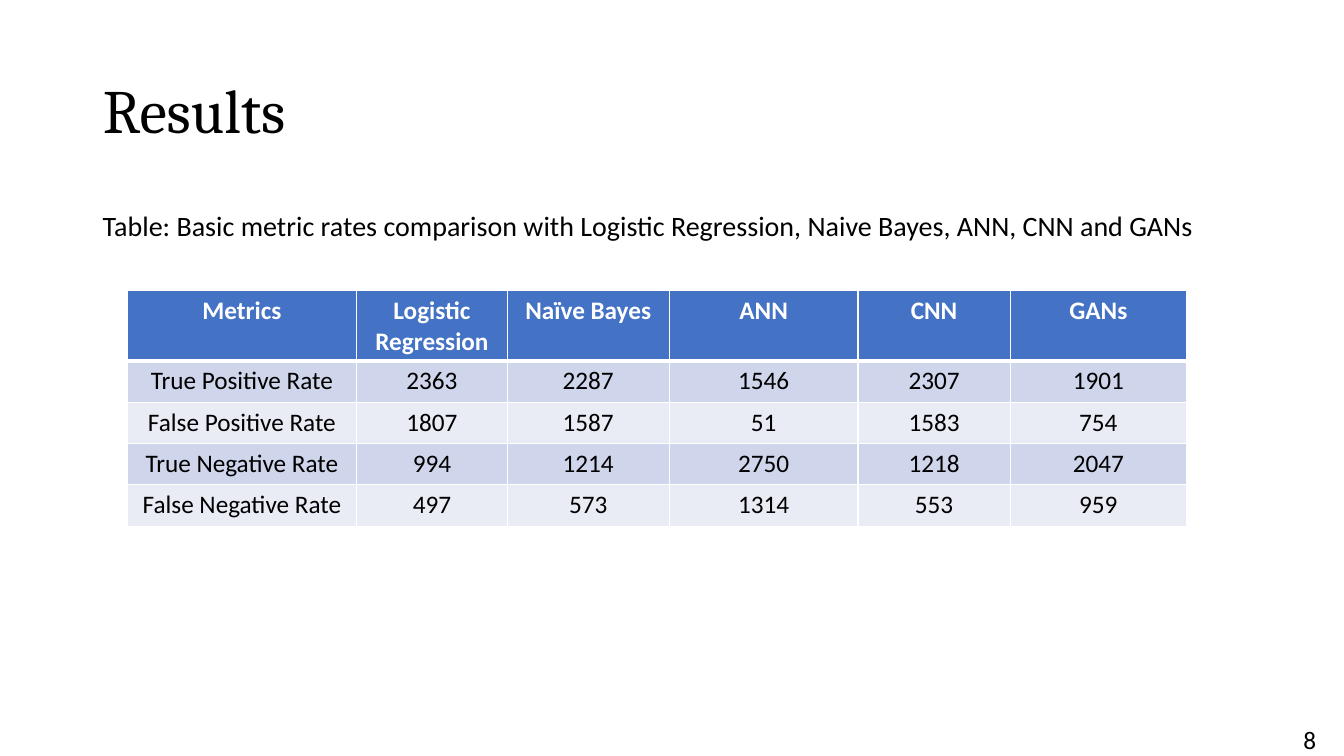
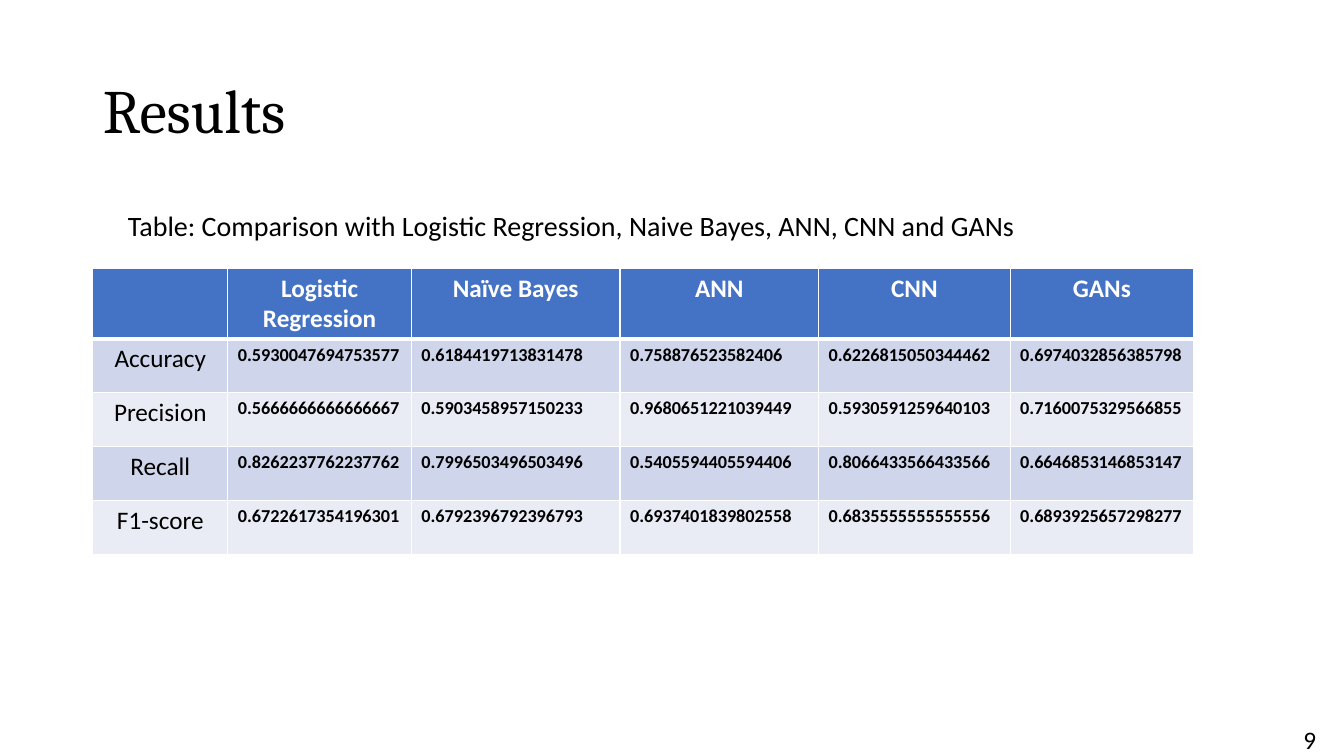
from lxml.etree import SubElement
from pptx import Presentation
from pptx.dml.color import RGBColor
from pptx.enum.text import MSO_ANCHOR, MSO_AUTO_SIZE, PP_ALIGN
from pptx.oxml.ns import qn
from pptx.util import Inches, Pt

COLORS = {
    "text": "000000",
    "header_text": "FFFFFF",
    "header": "4472C4",
    "odd_row": "CFD5EA",
    "even_row": "E9EBF5",
    "border": "FFFFFF",
}
TITLE_FONT, BODY_FONT = "Cambria", "Calibri"
TITLE_BOX = (0.92, 0.4, 11.5, 1.45)
PAGE_NUMBER_BOX = (12.83, 7.14, 0.33, 0.4)
CAPTION_TOP, CAPTION_HEIGHT = 2.02, 0.44
HEADER_HEIGHT = 0.69
MODELS = ["Logistic Regression", "Naïve Bayes", "ANN", "CNN", "GANs"]

HEADER_FORMAT = {"size": Pt(18), "bold": True, "color": "header_text"}
LABEL_FORMAT = {"size": Pt(18), "bold": False, "color": "text"}
SCORE_FORMAT = {"size": Pt(13), "bold": True, "color": "text"}

SLIDES = [
    {
        "page": "8",
        "caption": "Table: Basic metric rates comparison with Logistic Regression, "
                   "Naive Bayes, ANN, CNN and GANs",
        "caption_left": 0.92,
        "caption_width": 11.18,
        "table_origin": (1.26, 2.88),
        "column_widths": [2.28, 1.49, 1.61, 1.87, 1.51, 1.75],
        "row_height": 0.41,
        "corner": "Metrics",
        "value_format": LABEL_FORMAT,
        "value_align": PP_ALIGN.CENTER,
        "rows": [
            ("True Positive Rate", "2363", "2287", "1546", "2307", "1901"),
            ("False Positive Rate", "1807", "1587", "51", "1583", "754"),
            ("True Negative Rate", "994", "1214", "2750", "1218", "2047"),
            ("False Negative Rate", "497", "573", "1314", "553", "959"),
        ],
    },
    {
        "page": "9",
        "caption": "Table: Comparison with Logistic Regression, Naive Bayes, "
                   "ANN, CNN and GANs",
        "caption_left": 1.17,
        "caption_width": 9.14,
        "table_origin": (0.92, 2.66),
        "column_widths": [1.34, 1.82, 2.07, 1.97, 1.9, 1.82],
        "row_height": 0.535,
        "corner": "",
        "value_format": SCORE_FORMAT,
        "value_align": PP_ALIGN.LEFT,
        "rows": [
            ("Accuracy", "0.5930047694753577", "0.6184419713831478",
             "0.758876523582406", "0.6226815050344462", "0.6974032856385798"),
            ("Precision", "0.5666666666666667", "0.5903458957150233",
             "0.9680651221039449", "0.5930591259640103", "0.7160075329566855"),
            ("Recall", "0.8262237762237762", "0.7996503496503496",
             "0.5405594405594406", "0.8066433566433566", "0.6646853146853147"),
            ("F1-score", "0.6722617354196301", "0.6792396792396793",
             "0.6937401839802558", "0.6835555555555556", "0.6893925657298277"),
        ],
    },
]


def rgb(name):
    return RGBColor.from_string(COLORS[name])


def write_text(text_frame, text, align=PP_ALIGN.LEFT, color="text", **font_format):
    text_frame.text = text
    paragraph = text_frame.paragraphs[0]
    paragraph.alignment = align
    for name, value in {"name": BODY_FONT, **font_format}.items():
        setattr(paragraph.font, name, value)
        for run in paragraph.runs:
            setattr(run.font, name, value)
    for run in paragraph.runs:
        run.font.color.rgb = rgb(color)
    return paragraph


def add_title(slide, text):
    title = slide.shapes.title
    title.left, title.top, title.width, title.height = map(Inches, TITLE_BOX)
    title.text_frame.vertical_anchor = MSO_ANCHOR.MIDDLE
    title.text_frame.auto_size = MSO_AUTO_SIZE.NONE
    paragraph = write_text(title.text_frame, text, name=TITLE_FONT, size=Pt(44))
    paragraph.line_spacing = 0.9


def add_text(slide, box, text, size, wrap):
    text_frame = slide.shapes.add_textbox(*map(Inches, box)).text_frame
    text_frame.word_wrap = wrap
    write_text(text_frame, text, size=size)


def set_borders(cell, widths):
    """Draw the cell's edges; widths are points keyed by L, R, T and B."""
    properties = cell._tc.get_or_add_tcPr()
    for side, width in widths.items():
        line = SubElement(properties, qn(f"a:ln{side}"), w=str(Pt(width)))
        fill = SubElement(line, qn("a:solidFill"))
        SubElement(fill, qn("a:srgbClr"), val=COLORS["border"])


def add_results_table(slide, content):
    rows = [(content["corner"], *MODELS), *content["rows"]]
    widths = content["column_widths"]
    heights = [HEADER_HEIGHT] + [content["row_height"]] * len(content["rows"])
    box = (*content["table_origin"], sum(widths), sum(heights))
    table = slide.shapes.add_table(len(rows), len(widths), *map(Inches, box)).table
    for column, width in zip(table.columns, widths):
        column.width = Inches(width)
    for row, height in zip(table.rows, heights):
        row.height = Inches(height)

    for row_index, values in enumerate(rows):
        is_header = row_index == 0
        row_fill = "header" if is_header else ("even_row", "odd_row")[row_index % 2]
        borders = {"L": 1, "R": 1, "T": 3 if row_index == 1 else 1,
                   "B": 3 if is_header else 1}
        for column_index, value in enumerate(values):
            cell = table.cell(row_index, column_index)
            set_borders(cell, borders)
            cell.fill.solid()
            cell.fill.fore_color.rgb = rgb(row_fill)
            if is_header:
                text_format, align = HEADER_FORMAT, PP_ALIGN.CENTER
            elif column_index == 0:
                text_format, align = LABEL_FORMAT, PP_ALIGN.CENTER
            else:
                text_format, align = content["value_format"], content["value_align"]
            write_text(cell.text_frame, value, align, **text_format)


def main():
    presentation = Presentation()
    presentation.slide_width = Inches(13.33)
    presentation.slide_height = Inches(7.5)
    title_only = presentation.slide_layouts[5]
    for content in SLIDES:
        slide = presentation.slides.add_slide(title_only)
        add_title(slide, "Results")
        add_text(slide, PAGE_NUMBER_BOX, content["page"], Pt(18), wrap=False)
        add_results_table(slide, content)
        caption_box = (content["caption_left"], CAPTION_TOP,
                       content["caption_width"], CAPTION_HEIGHT)
        add_text(slide, caption_box, content["caption"], Pt(20), wrap=True)
    presentation.save("out.pptx")


if __name__ == "__main__":
    main()
